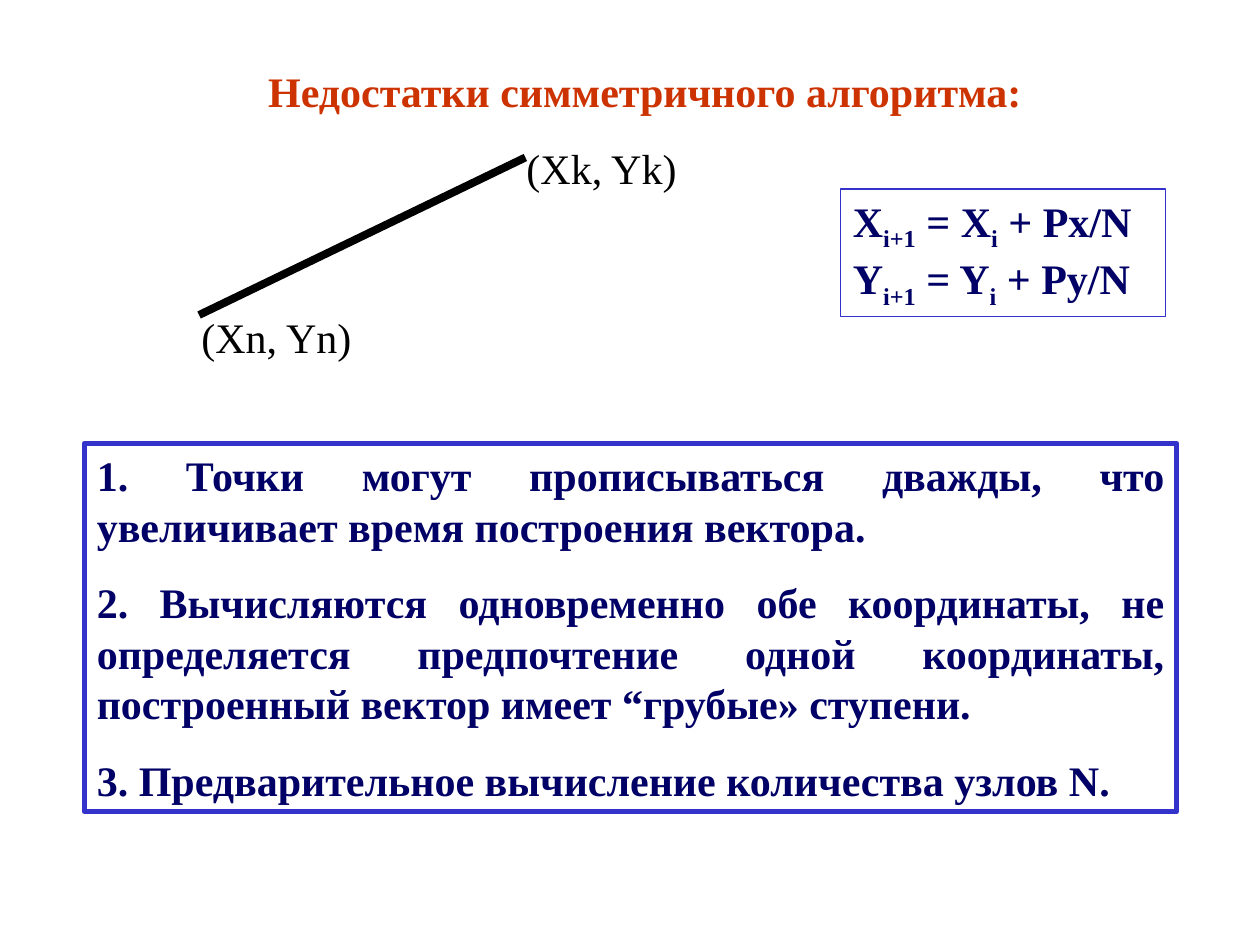
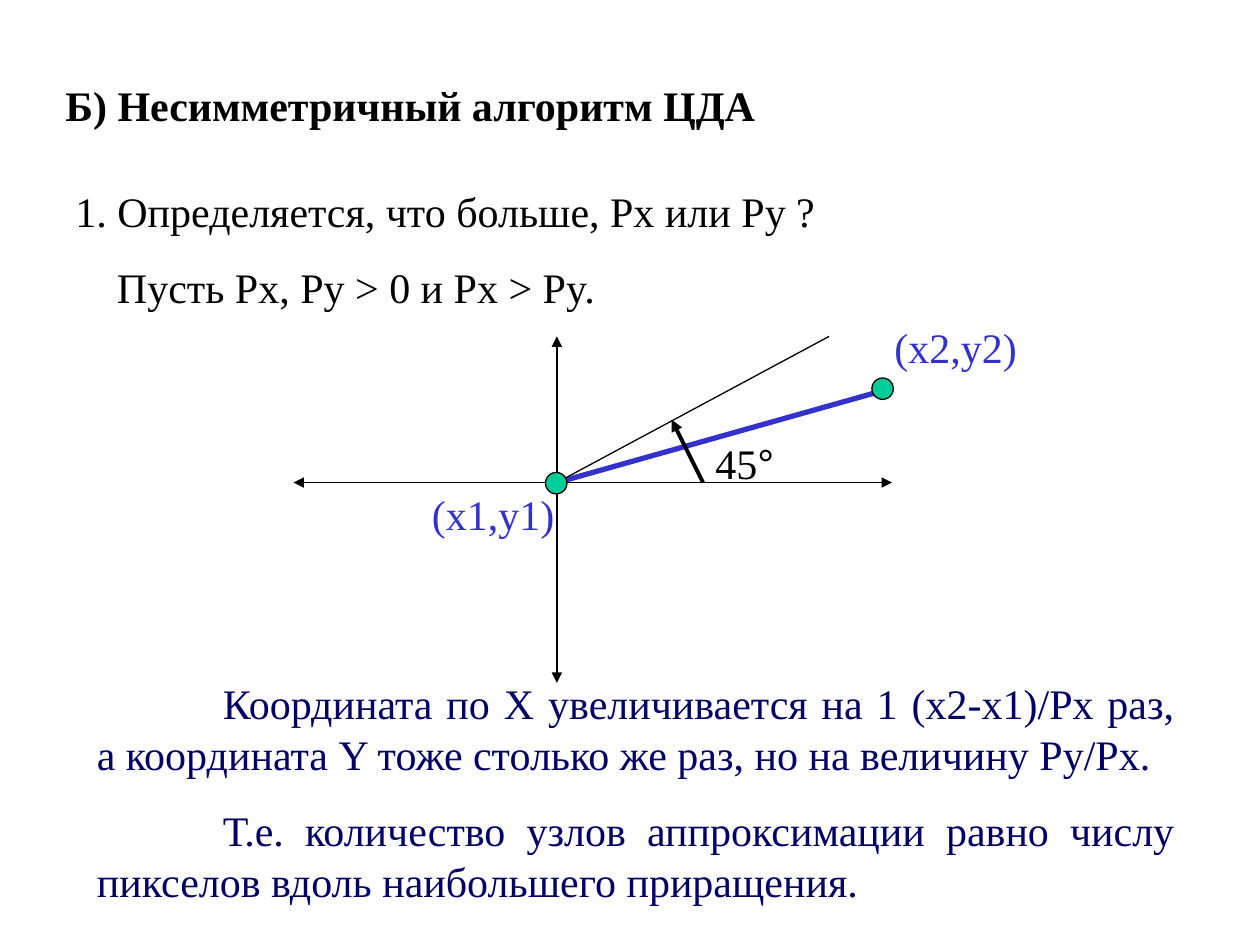
from lxml.etree import SubElement
from pptx import Presentation
from pptx.dml.color import RGBColor
from pptx.enum.shapes import MSO_CONNECTOR, MSO_SHAPE
from pptx.enum.text import MSO_ANCHOR, MSO_AUTO_SIZE, PP_ALIGN
from pptx.oxml.ns import qn
from pptx.util import Inches, Pt

BLACK = RGBColor(0x00, 0x00, 0x00)
RED = RGBColor(0xCC, 0x33, 0x00)
NAVY = RGBColor(0x00, 0x00, 0x66)
BLUE = RGBColor(0x33, 0x33, 0xCC)
GREEN = RGBColor(0x00, 0xCC, 0x99)

FONT = "Times New Roman"
SYMBOL_FONT = "Arial"
SIZE = Pt(24)
GAP = Pt(15)
LABEL_HEIGHT = 0.5
DOT = 0.17


def style_run(run, color, bold=False):
    run.font.name = FONT
    run.font.size = SIZE
    run.font.bold = bold
    run.font.color.rgb = color


def fill_text(shape, lines, color, bold=False, align=PP_ALIGN.LEFT, gap=GAP):
    frame = shape.text_frame
    frame.word_wrap = True
    frame.auto_size = MSO_AUTO_SIZE.SHAPE_TO_FIT_TEXT
    frame.vertical_anchor = MSO_ANCHOR.TOP
    frame.text = "\n".join(lines)
    for paragraph in frame.paragraphs:
        paragraph.alignment = align
        paragraph.space_before = gap
        for run in paragraph.runs:
            style_run(run, color, bold)
    return frame.paragraphs


def add_text(slide, left, top, width, height, lines, color=BLACK, **style):
    box = slide.shapes.add_textbox(
        Inches(left), Inches(top), Inches(width), Inches(height))
    return fill_text(box, lines, color, **style)


def add_label(slide, left, top, width, text, color=BLACK, **style):
    return add_text(slide, left, top, width, LABEL_HEIGHT, [text], color, **style)


def add_frame(slide, left, top, width, height, weight):
    frame = slide.shapes.add_shape(
        MSO_SHAPE.RECTANGLE,
        Inches(left), Inches(top), Inches(width), Inches(height))
    frame.shadow.inherit = False
    frame.fill.background()
    frame.line.color.rgb = BLUE
    frame.line.width = Pt(weight)
    return frame


def add_subscript(paragraph, text):
    run = paragraph.add_run()
    run.text = text
    style_run(run, NAVY, True)
    run.font._element.set("baseline", "-25000")


def add_formulas(slide, left, top, width, height, axes):
    frame = add_frame(slide, left, top, width, height, 0.75)
    paragraphs = fill_text(frame, axes, NAVY, bold=True, gap=Pt(0))
    for axis, paragraph in zip(axes, paragraphs):
        add_subscript(paragraph, "i+1")
        for text, index in ((f" = {axis}", "i"), (f" + P{axis.lower()}/N", "")):
            run = paragraph.add_run()
            run.text = text
            style_run(run, NAVY, True)
            if index:
                add_subscript(paragraph, index)


def add_line(slide, start, end, weight=0.75, color=BLACK, arrows=()):
    line = slide.shapes.add_connector(
        MSO_CONNECTOR.STRAIGHT, *map(Inches, start + end))
    line.line.color.rgb = color
    line.line.width = Pt(weight)
    for arrow in arrows:
        SubElement(line.line._get_or_add_ln(), qn(f"a:{arrow}"), type="triangle")
    SubElement(line._element.spPr, qn("a:effectLst"))


def add_dot(slide, left, top):
    dot = slide.shapes.add_shape(
        MSO_SHAPE.OVAL, Inches(left), Inches(top), Inches(DOT), Inches(DOT))
    dot.shadow.inherit = False
    dot.fill.solid()
    dot.fill.fore_color.rgb = GREEN
    dot.line.color.rgb = BLACK
    dot.line.width = Pt(0.75)


def build_drawbacks(slide):
    add_label(slide, 2.03, 0.47, 6.75, "Недостатки симметричного алгоритма:",
              RED, bold=True)
    add_formulas(slide, 6.67, 1.5, 2.58, 1.01, ["X", "Y"])
    drawbacks = add_frame(slide, 0.67, 3.52, 8.67, 2.92, 3)
    fill_text(drawbacks, [
        "1. Точки могут прописываться дважды, что увеличивает время "
        "построения вектора.",
        "2. Вычисляются одновременно обе координаты, не определяется "
        "предпочтение одной координаты, построенный вектор имеет "
        "“грубые» ступени.",
        "3. Предварительное вычисление количества узлов N.",
    ], NAVY, bold=True, align=PP_ALIGN.JUSTIFY)
    add_line(slide, (1.58, 2.5), (4.17, 1.25), 4.5)
    add_label(slide, 1.5, 2.42, 1.42, "(Xn, Yn)")
    add_label(slide, 4.08, 1.08, 1.58, "(Xk, Yk)")


def build_asymmetric(slide):
    add_label(slide, 0.42, 0.58, 6, "Б) Несимметричный алгоритм ЦДА", bold=True)
    question, assumption = add_text(slide, 0.5, 1.42, 8.92, 1.11, [
        "1. Определяется, что больше, Px или Py ?",
        "Пусть Px, Py > 0 и Px > Py.",
    ])
    assumption._p.get_or_add_pPr().set("marL", str(Inches(0.33)))

    origin_x, origin_y = origin = (4.42, 3.83)
    both_ends = ("headEnd", "tailEnd")
    add_line(slide, (origin_x, 2.67), (origin_x, 5.42), arrows=both_ends)
    add_line(slide, (2.33, origin_y), (7.08, origin_y), arrows=both_ends)
    add_line(slide, origin, (7.08, 3.08), 3, BLUE)

    conclusions = add_text(slide, 0.67, 5.33, 8.75, 1.91, [
        "Координата по X увеличивается на 1 (x2-x1)/Px раз, а координата Y "
        "тоже столько же раз, но на величину Py/Px.",
        "Т.е. количество узлов аппроксимации равно числу пикселов вдоль "
        "наибольшего приращения.",
    ], NAVY, align=PP_ALIGN.JUSTIFY)
    for conclusion in conclusions:
        conclusion._p.get_or_add_pPr().set("indent", str(Inches(1)))

    add_line(slide, origin, (6.58, 2.67))
    add_line(slide, (5.58, origin_y), (5.33, 3.33), 2.25, arrows=("tailEnd",))
    angle = add_label(slide, 5.58, 3.42, 0.83, "45")[0]
    degree = angle.add_run()
    degree.text = "°"
    style_run(degree, BLACK)
    degree.font.name = SYMBOL_FONT

    add_label(slide, 3.33, 3.83, 1.33, "(x1,y1)", BLUE)
    add_label(slide, 7, 2.5, 1.33, "(x2,y2)", BLUE)
    add_dot(slide, 6.92, 3)
    add_dot(slide, 4.33, 3.75)


def main():
    deck = Presentation()
    deck.slide_width = Inches(10)
    deck.slide_height = Inches(7.5)
    blank = deck.slide_layouts[6]
    for build in (build_drawbacks, build_asymmetric):
        build(deck.slides.add_slide(blank))
    deck.save("out.pptx")


if __name__ == "__main__":
    main()
